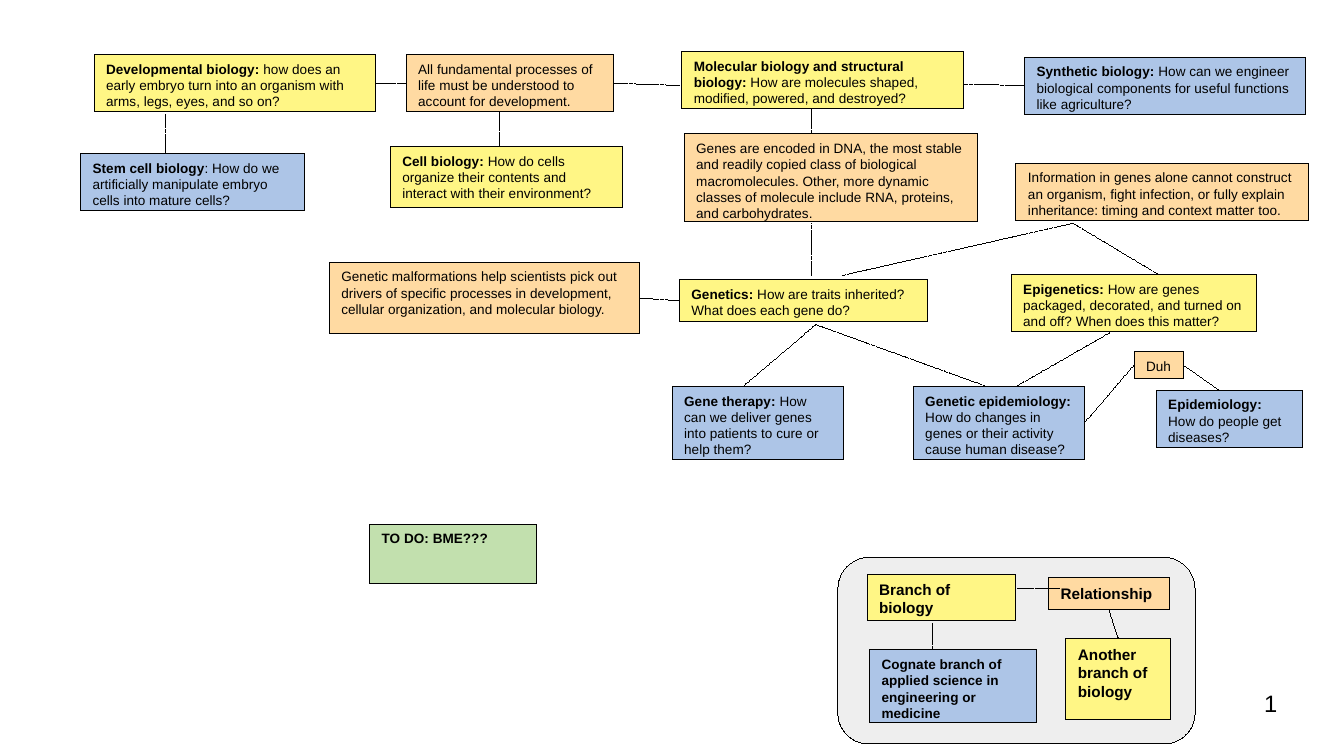
from collections import namedtuple
from dataclasses import dataclass

from lxml import etree
from pptx import Presentation
from pptx import util as u
from pptx.dml.color import RGBColor
from pptx.enum import dml, shapes, text
from pptx.oxml import ns

TOP, LEFT, BOTTOM, RIGHT = range(4)
Site = namedtuple("Site", "shape side")


@dataclass(frozen=True)
class Theme:
    font: str = "Arial"
    ink: str = "000000"
    branch: str = "FFF685"
    applied: str = "ADC5E7"
    relation: str = "FFDAA2"
    todo: str = "C2E0AE"
    panel: str = "EEEEEE"
    body: int = 8
    key: int = 9
    number: int = 14
    hairline: int = 1


class ConceptMap:
    def __init__(self, slide, theme):
        self.slide = slide
        self.theme = theme

    def outline(self, line):
        line.color.rgb = RGBColor.from_string(self.theme.ink)
        line.width = u.Emu(self.theme.hairline)

    def shape(self, kind, bounds, fill):
        shape = self.slide.shapes.add_shape(kind, *map(u.Cm, bounds))
        shape.shadow.inherit = False
        shape.fill.solid()
        shape.fill.fore_color.rgb = RGBColor.from_string(fill)
        self.outline(shape.line)
        return shape

    def panel(self, bounds):
        return self.shape(shapes.MSO_SHAPE.ROUNDED_RECTANGLE, bounds, self.theme.panel)

    def run(self, paragraph, words, size, bold=False):
        run = paragraph.add_run()
        run.text = words
        run.font.name = self.theme.font
        run.font.size = u.Pt(size)
        run.font.bold = bold
        run.font.color.rgb = RGBColor.from_string(self.theme.ink)

    def box(self, bounds, fill, title="", detail="", size=None):
        shape = self.shape(shapes.MSO_SHAPE.RECTANGLE, bounds, fill)
        frame = shape.text_frame
        frame.word_wrap = True
        frame.vertical_anchor = text.MSO_ANCHOR.TOP
        frame.margin_left = frame.margin_right = u.Cm(0.25)
        frame.margin_top = frame.margin_bottom = u.Cm(0.13)
        paragraph = frame.paragraphs[0]
        paragraph.alignment = text.PP_ALIGN.LEFT
        for words, bold in ((title, True), (detail, False)):
            if words:
                self.run(paragraph, words, size or self.theme.body, bold)
        return shape

    def link(self, start, end):
        points = [(0, 0) if isinstance(place, Site) else place for place in (start, end)]
        connector = self.slide.shapes.add_connector(
            shapes.MSO_CONNECTOR.STRAIGHT, *(u.Cm(value) for point in points for value in point))
        if isinstance(start, Site):
            connector.begin_connect(start.shape, start.side)
        if isinstance(end, Site):
            connector.end_connect(end.shape, end.side)
        self.outline(connector.line)
        connector.line.dash_style = dml.MSO_LINE.SQUARE_DOT
        etree.SubElement(connector._element.spPr, ns.qn("a:effectLst"))

    def page_number(self, bounds, words):
        frame = self.slide.shapes.add_textbox(*map(u.Cm, bounds)).text_frame
        frame.word_wrap = True
        frame.margin_left = frame.margin_right = frame.margin_top = frame.margin_bottom = 0
        paragraph = frame.paragraphs[0]
        paragraph.alignment = text.PP_ALIGN.RIGHT
        self.run(paragraph, words, self.theme.number)


def main():
    presentation = Presentation()
    presentation.slide_width = u.Cm(27.99)
    presentation.slide_height = u.Cm(15.75)
    slide = presentation.slides.add_slide(presentation.slide_layouts[6])
    theme = Theme()
    page = ConceptMap(slide, theme)

    page.panel((17.45, 11.61, 7.44, 3.89))
    page.box((18.06, 11.96, 3.1, 0.97), theme.branch, "Branch of biology", size=theme.key)
    page.box((18.11, 13.54, 3.48, 1.52), theme.applied,
             "Cognate branch of applied science in engineering or medicine")
    another = page.box((22.2, 13.31, 2.18, 1.68), theme.branch,
                       "Another branch of biology", size=theme.key)
    relationship = page.box((21.84, 12.04, 2.51, 0.66), theme.relation,
                            "Relationship", size=theme.key)

    development = page.box(
        (1.96, 1.14, 5.87, 1.19), theme.branch, "Developmental biology: ",
        "how does an early embryo turn into an organism with arms, legs, eyes, and so on?")
    processes = page.box(
        (8.46, 1.14, 4.32, 1.19), theme.relation,
        detail="All fundamental processes of life must be understood to account for development.")
    page.box((14.2, 1.07, 5.87, 1.19), theme.branch, "Molecular biology and structural biology:",
             " How are molecules shaped, modified, powered, and destroyed?")
    synthetic = page.box(
        (21.34, 1.19, 5.84, 1.19), theme.applied, "Synthetic biology: ",
        "How can we engineer biological components for useful functions like agriculture?")
    page.box((1.68, 3.2, 4.67, 1.19), theme.applied, "Stem cell biology",
             ": How do we artificially manipulate embryo cells into mature cells?")
    page.box((8.13, 3.05, 4.83, 1.27), theme.branch, "Cell biology: ",
             "How do cells organize their contents and interact with their environment?")
    page.box((14.25, 2.79, 6.1, 1.83), theme.relation,
             detail="Genes are encoded in DNA, the most stable and readily copied class of "
                    "biological macromolecules. Other, more dynamic classes of molecule "
                    "include RNA, proteins, and carbohydrates.")
    page.box((21.16, 3.4, 6.1, 1.19), theme.relation,
             detail="Information in genes alone cannot construct an organism, fight infection, "
                    "or fully explain inheritance: timing and context matter too.")
    malformations = page.box(
        (6.86, 5.46, 6.45, 1.5), theme.relation,
        detail="Genetic malformations help scientists pick out drivers of specific processes "
               "in development, cellular organization, and molecular biology.")
    genetics = page.box((14.15, 5.82, 5.16, 0.89), theme.branch, "Genetics: ",
                        "How are traits inherited? What does each gene do?")
    page.box((21.06, 5.72, 5.11, 1.19), theme.branch, "Epigenetics: ",
             "How are genes packaged, decorated, and turned on and off? "
             "When does this matter?")
    page.box((14, 8.05, 3.56, 1.52), theme.applied, "Gene therapy: ",
             "How can we deliver genes into patients to cure or help them?")
    genetic_epidemiology = page.box(
        (19.02, 8.05, 3.56, 1.52), theme.applied, "Genetic epidemiology: ",
        "How do changes in genes or their activity cause human disease?")
    page.box((24.08, 8.13, 3.05, 1.19), theme.applied, "Epidemiology: ",
             "How do people get diseases?")
    duh = page.box((23.62, 7.32, 1.02, 0.56), theme.relation, detail="Duh")
    page.box((7.7, 10.92, 3.48, 1.24), theme.todo, "TO DO: BME???")

    genetics_fork = (16.99, 6.76)
    information_fork = (22.35, 4.65)
    links = [
        ((19.41, 13.54), (19.41, 12.98)),
        ((22.07, 12.27), (21.18, 12.27)),
        (Site(relationship, BOTTOM), Site(another, TOP)),
        ((3.45, 3.2), (3.45, 2.39)),
        (Site(processes, LEFT), Site(development, RIGHT)),
        ((10.41, 3.05), (10.41, 2.34)),
        ((14.15, 1.78), Site(processes, RIGHT)),
        (Site(synthetic, LEFT), (20.07, 1.75)),
        ((16.89, 2.79), (16.89, 2.29)),
        ((16.89, 5.74), (16.89, 4.65)),
        (information_fork, (17.53, 5.74)),
        (information_fork, (24.13, 5.72)),
        (Site(genetics, LEFT), Site(malformations, RIGHT)),
        ((15.47, 8.05), genetics_fork),
        ((20.55, 8.05), genetics_fork),
        ((21.16, 8.05), (23.11, 6.93)),
        (Site(genetic_epidemiology, RIGHT), Site(duh, LEFT)),
        ((25.4, 8.13), Site(duh, RIGHT)),
    ]
    for start, end in links:
        page.link(start, end)

    page.page_number((20.07, 14.35, 6.53, 1.09), "1")
    presentation.save("out.pptx")


if __name__ == "__main__":
    main()
